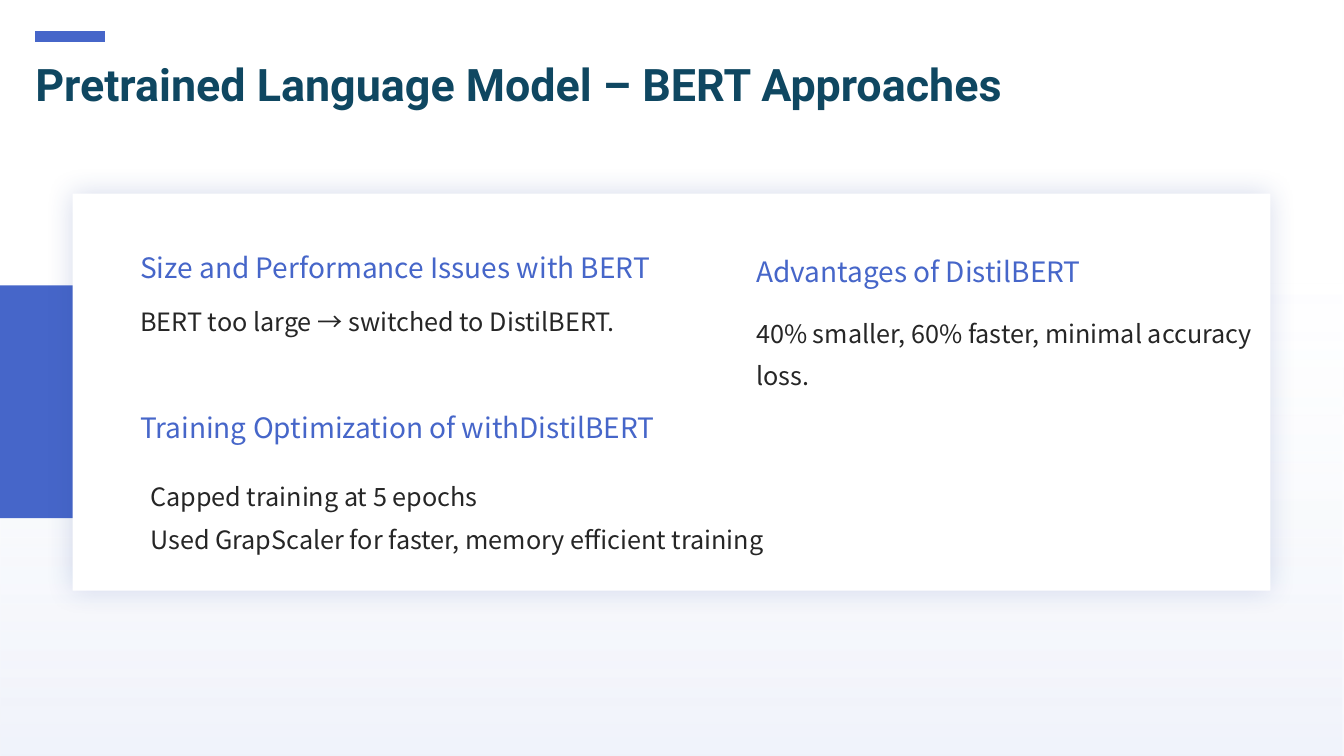
import pptx
import pptx.util
import pptx.dml.color
import pptx.enum.shapes
import pptx.enum.text
import pptx.oxml
import pptx.oxml.ns
from lxml import etree

Inches = pptx.util.Inches
Pt = pptx.util.Pt
qn = pptx.oxml.ns.qn
ANCHOR = pptx.enum.text.MSO_ANCHOR

BLUE, NAVY, INK, WHITE = "4666C9", "0F4761", "262626", "FFFFFF"
BODY_FONT, TITLE_FONT = "Noto Sans CJK SC", "Roboto"


def color(hex_code):
    return pptx.dml.color.RGBColor.from_string(hex_code)


def add_block(slide, left, top, width, height):
    block = slide.shapes.add_shape(
        pptx.enum.shapes.MSO_SHAPE.RECTANGLE,
        Inches(left), Inches(top), Inches(width), Inches(height))
    block.shadow.inherit = False
    block.line.fill.background()
    return block


def fill_block(block, hex_code):
    block.fill.solid()
    block.fill.fore_color.rgb = color(hex_code)


def write(holder, box, lines, size, hex_code, font=BODY_FONT, bold=False,
          spacing=1.0, anchor=ANCHOR.TOP):
    """Place a text holder in its box and fill it, one paragraph per line."""
    holder.left, holder.top, holder.width, holder.height = map(Inches, box)
    frame = holder.text_frame
    frame.word_wrap = True
    frame.auto_size = pptx.enum.text.MSO_AUTO_SIZE.NONE
    frame.vertical_anchor = anchor
    frame.margin_left = frame.margin_right = 0
    frame.margin_top = frame.margin_bottom = 0
    for index, line in enumerate(lines):
        paragraph = frame.add_paragraph() if index else frame.paragraphs[0]
        properties = paragraph._p.get_or_add_pPr()
        properties.set("marL", "0")
        properties.set("indent", "0")
        etree.SubElement(properties, qn("a:buNone"))
        paragraph.alignment = pptx.enum.text.PP_ALIGN.LEFT
        paragraph.line_spacing = spacing
        paragraph.space_before = paragraph.space_after = Pt(0)
        run = paragraph.add_run()
        run.text = line
        run.font.size = Pt(size)
        run.font.bold = bold
        run.font.color.rgb = color(hex_code)
        run.font.name = font
        east_asian = etree.SubElement(run.font._element, qn("a:ea"))
        east_asian.set("typeface", font)


def add_backdrop(slide, width, height):
    # Tint fading in towards the bottom edge
    tint = add_block(slide, 0, 0, width, height)
    tint.fill.gradient()
    tint.fill.gradient_angle = 270
    stops = ((0.37, "DAE0F4", 0), (1, "B5C2E9", 20))
    for stop, (position, hex_code, opacity) in zip(tint.fill.gradient_stops, stops):
        stop.position = position
        stop.color.rgb = color(hex_code)
    for tone, (_, _, opacity) in zip(tint.element.iter(qn("a:srgbClr")), stops):
        etree.SubElement(tone, qn("a:alpha")).set("val", str(opacity * 1000))

    # Blue band behind the card
    fill_block(add_block(slide, 0, 2.83, 8.28, 2.31), BLUE)


def add_header(slide, left, top):
    # Accent bar
    accent = slide.shapes.add_connector(
        pptx.enum.shapes.MSO_CONNECTOR.STRAIGHT,
        Inches(left), Inches(top), Inches(left + 0.69), Inches(top))
    accent.line.color.rgb = color(BLUE)
    accent.line.width = Pt(8)
    etree.SubElement(accent.element.spPr, qn("a:effectLst"))

    # Title, raised above the backdrop
    title = slide.shapes.title
    slide.shapes.element.append(title.element)
    write(title, (left, top + 0.19, 12.2, 0.47),
          ["Pretrained Language Model – BERT Approaches"],
          32, NAVY, TITLE_FONT, True, 1.15, ANCHOR.MIDDLE)


def add_card(slide, left, top, width, height):
    # White card with a soft glow
    card = add_block(slide, left, top, width, height)
    fill_block(card, WHITE)
    effects = card.element.spPr.find(qn("a:effectLst"))
    effects.append(pptx.oxml.parse_xml(
        '<a:outerShdw xmlns:a="http://schemas.openxmlformats.org/drawingml/2006/main"'
        f' blurRad="{Pt(20)}" dist="0" dir="0" algn="ctr" rotWithShape="0">'
        '<a:srgbClr val="2E499D"><a:alpha val="20000"/></a:srgbClr></a:outerShdw>'))

    # Topics: heading box and text box, offset from the card's corner
    training_notes = slide.placeholders[1]
    slide.shapes.element.append(training_notes.element)
    topics = (
        ("Size and Performance Issues with BERT", (0.67, 0.3, 5.43, 0.8),
         ["BERT too large → switched to DistilBERT."], (0.67, 1.0, 4.96, 0.54), None),
        ("Advantages of DistilBERT", (6.78, 0.42, 4.96, 0.63),
         ["40% smaller, 60% faster, minimal accuracy loss."],
         (6.78, 1.12, 4.96, 0.54), None),
        ("Training Optimization of withDistilBERT", (0.67, 1.97, 5.58, 0.63),
         ["Capped training at 5 epochs",
          "Used GrapScaler for faster, memory efficient training"],
         (0.77, 2.74, 6.18, 0.54), training_notes),
    )
    for heading, heading_box, notes, notes_box, notes_holder in topics:
        heading_box, notes_box = (
            (left + x, top + y, w, h) for x, y, w, h in (heading_box, notes_box))
        write(slide.shapes.add_textbox(0, 0, 0, 0), heading_box, [heading],
              20, BLUE, spacing=1.2, anchor=ANCHOR.MIDDLE)
        if notes_holder is None:
            notes_holder = slide.shapes.add_textbox(0, 0, 0, 0)
        write(notes_holder, notes_box, notes, 18, INK, spacing=1.4)


def main():
    deck = pptx.Presentation()
    deck.slide_width, deck.slide_height = Inches(13.33), Inches(7.5)
    slide = deck.slides.add_slide(deck.slide_layouts[1])
    add_backdrop(slide, 13.33, 7.5)
    add_card(slide, 0.72, 1.92, 11.88, 3.94)
    add_header(slide, 0.35, 0.36)
    deck.save("out.pptx")


if __name__ == "__main__":
    main()
